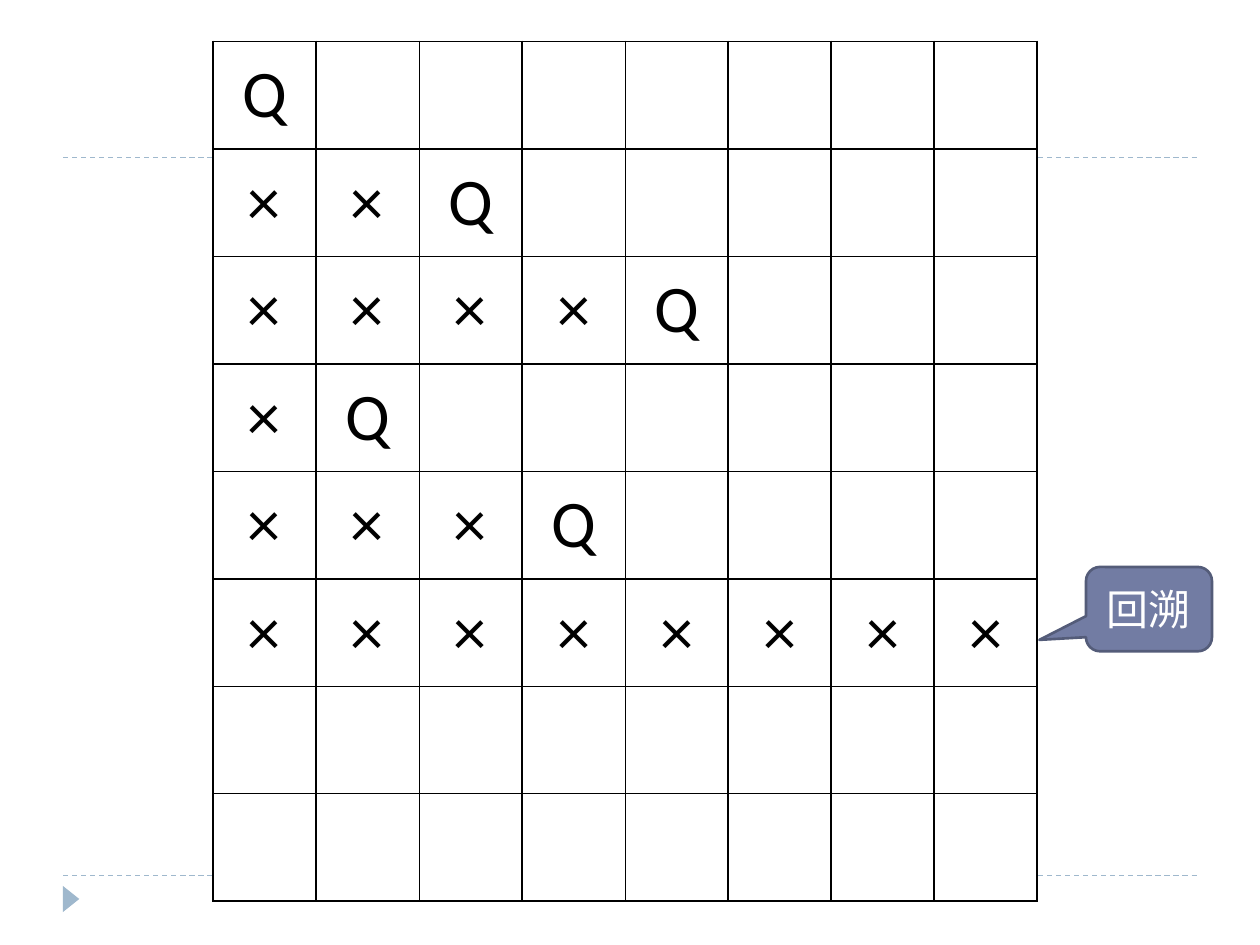
from dataclasses import dataclass

from lxml.etree import SubElement
from pptx import Presentation
from pptx.dml.color import RGBColor
from pptx.enum.dml import MSO_LINE
from pptx.enum.shapes import MSO_CONNECTOR, MSO_SHAPE
from pptx.enum.text import MSO_ANCHOR, PP_ALIGN
from pptx.oxml.ns import qn
from pptx.util import Pt

BLACK, WHITE = "000000", "FFFFFF"
PALE_BLUE, SLATE, DARK_SLATE = "9FB8CD", "727CA3", "545C79"
BOARD_SIZE = 8
BOARD_LEFT, BOARD_TOP = 121.7, 23.6
SQUARE_WIDTH, SQUARE_HEIGHT = 58.9, 61.3
THIN_EDGES = {2, 4}
RULE_LEFT, RULE_RIGHT = 36, 684


@dataclass(frozen=True)
class Attempt:
    """One row of the search: crosses tried first, then a queen if one fits."""

    crosses: int
    queen: bool = True

    def marks(self) -> str:
        return "×" * self.crosses + "Q" * self.queen


ATTEMPTS = [Attempt(0), Attempt(2), Attempt(4), Attempt(1), Attempt(3), Attempt(8, False)]


def colour(value: str) -> RGBColor:
    return RGBColor.from_string(value)


def style_text(paragraph, font_name: str, size: float, ink: str) -> None:
    paragraph.alignment = PP_ALIGN.CENTER
    font = paragraph.runs[0].font
    font.name, font.size = font_name, Pt(size)
    font.color.rgb = colour(ink)


def draw_rule(slide, y: float) -> None:
    rule = slide.shapes.add_connector(
        MSO_CONNECTOR.STRAIGHT, Pt(RULE_LEFT), Pt(y), Pt(RULE_RIGHT), Pt(y))
    rule.line.color.rgb = colour(PALE_BLUE)
    rule.line.width = Pt(0.75)
    rule.line.dash_style = MSO_LINE.DASH
    SubElement(rule._element.spPr, qn("a:effectLst"))


def draw_shape(slide, preset, left: float, top: float, width: float, height: float, fill: str):
    shape = slide.shapes.add_shape(preset, Pt(left), Pt(top), Pt(width), Pt(height))
    shape.shadow.inherit = False
    shape.fill.solid()
    shape.fill.fore_color.rgb = colour(fill)
    shape.line.fill.background()
    return shape


def draw_border(cell, side: str, edge: int) -> None:
    width = Pt(0.5 if edge in THIN_EDGES else 1)
    border = SubElement(cell._tc.get_or_add_tcPr(), qn(f"a:ln{side}"), w=str(width))
    SubElement(SubElement(border, qn("a:solidFill")), qn("a:srgbClr"), val=BLACK)


def draw_square(cell, row: int, column: int, mark: str) -> None:
    for side, edge in (("L", column), ("R", column + 1), ("T", row), ("B", row + 1)):
        draw_border(cell, side, edge)
    cell.fill.solid()
    cell.fill.fore_color.rgb = colour(WHITE)
    if mark:
        cell.vertical_anchor = MSO_ANCHOR.MIDDLE
        cell.margin_left = cell.margin_right = Pt(15)
        cell.margin_top = cell.margin_bottom = Pt(7.5)
        cell.text_frame.text = mark
        style_text(cell.text_frame.paragraphs[0], "Calibri", 38, BLACK)


def draw_board(slide, attempts: list[Attempt]) -> None:
    board = slide.shapes.add_table(
        BOARD_SIZE, BOARD_SIZE, Pt(BOARD_LEFT), Pt(BOARD_TOP),
        Pt(BOARD_SIZE * SQUARE_WIDTH), Pt(BOARD_SIZE * SQUARE_HEIGHT)).table
    board.first_row = board.horz_banding = False
    for column in board.columns:
        column.width = Pt(SQUARE_WIDTH)
    for row in board.rows:
        row.height = Pt(SQUARE_HEIGHT)
    for row in range(BOARD_SIZE):
        marks = attempts[row].marks() if row < len(attempts) else ""
        for column in range(BOARD_SIZE):
            draw_square(board.cell(row, column), row, column, marks[column:column + 1])


def draw_callout(slide, label: str) -> None:
    callout = draw_shape(
        slide, MSO_SHAPE.ROUNDED_RECTANGULAR_CALLOUT, 620.6, 324, 72, 48.2, SLATE)
    for index, adjustment in enumerate((-0.87, 0.365, 0.167)):
        callout.adjustments[index] = adjustment
    callout.line.color.rgb = colour(DARK_SLATE)
    callout.line.width = Pt(1.5)
    callout.text_frame.vertical_anchor = MSO_ANCHOR.MIDDLE
    callout.text_frame.text = label
    style_text(callout.text_frame.paragraphs[0], "Cabin", 24, WHITE)


def main() -> None:
    """Build the slide showing backtracking in the eight queens puzzle."""
    deck = Presentation()
    deck.slide_width, deck.slide_height = Pt(720), Pt(540)
    slide = deck.slides.add_slide(deck.slide_layouts[6])
    for y in (500.4, 90):
        draw_rule(slide, y)
    marker = draw_shape(slide, MSO_SHAPE.ISOSCELES_TRIANGLE, 33.1, 509, 15, 9.4, PALE_BLUE)
    marker.rotation = 90
    draw_board(slide, ATTEMPTS)
    draw_callout(slide, "回溯")
    deck.save("out.pptx")


if __name__ == "__main__":
    main()
